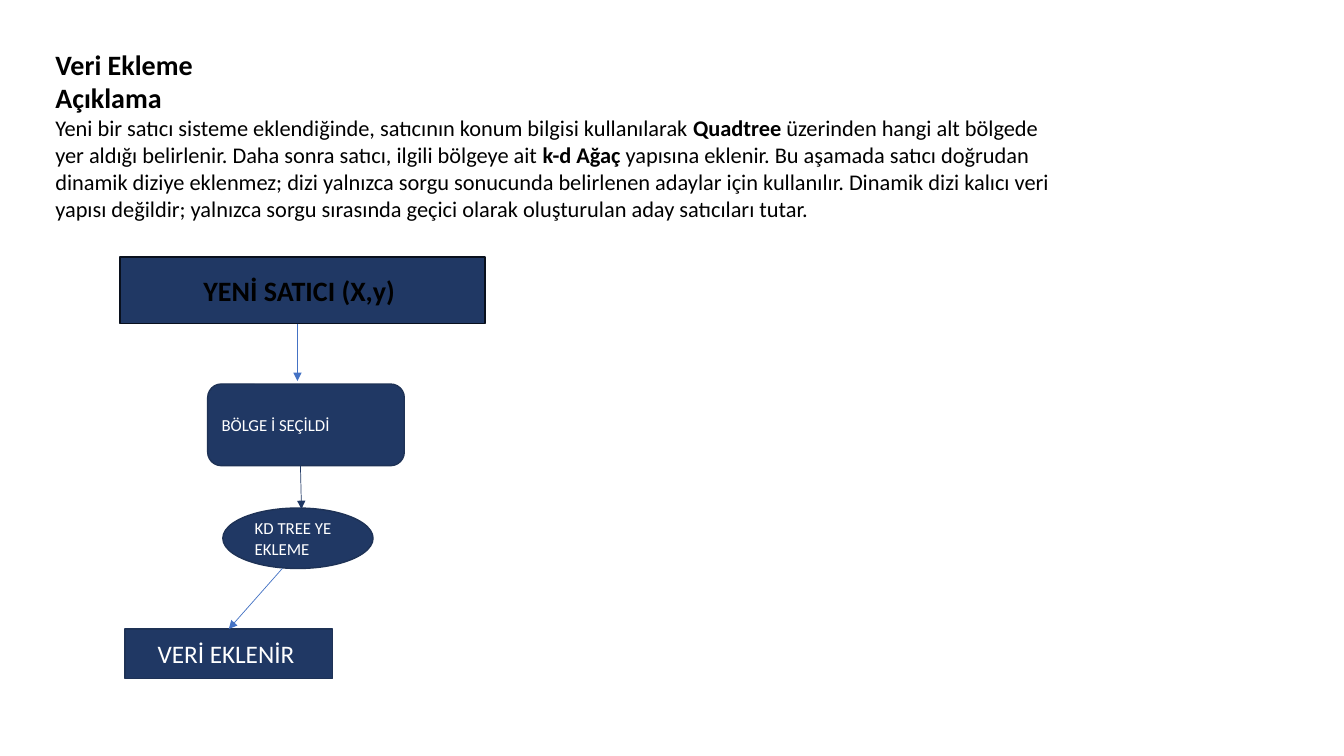
from lxml import etree
from pptx import Presentation
from pptx import util as u
from pptx.dml.color import RGBColor
from pptx.enum import shapes, text
from pptx.oxml.ns import qn

BLACK = RGBColor(0x00, 0x00, 0x00)
WHITE = RGBColor(0xFF, 0xFF, 0xFF)
NAVY = RGBColor(0x20, 0x38, 0x64)
EDGE = RGBColor(0x1E, 0x32, 0x56)
INK = RGBColor(0x09, 0x10, 0x1D)
BLUE = RGBColor(0x44, 0x72, 0xC4)

KIND = shapes.MSO_SHAPE
LEFT, MID = text.PP_ALIGN.LEFT, text.PP_ALIGN.CENTER


def write(para, words, size=12, color=BLACK, bold=False, align=LEFT):
    para.alignment = align
    run = para.add_run()
    run.text = words
    font = run.font
    font.name, font.size, font.bold = "Calibri", u.Pt(size), bold
    font.color.rgb = color


class Board:
    """A slide laid out on a grid of ten columns and ten rows to the inch."""

    def __init__(self, deck):
        self.slide = deck.slides.add_slide(deck.slide_layouts[6])
        self.font = "Calibri"

    def grid(self, *cells):
        return [u.Inches(cell / 10) for cell in cells]

    def node(self, kind, cells, words, edge=EDGE, **style):
        box = self.slide.shapes.add_shape(kind, *self.grid(*cells))
        box.shadow.inherit = False
        box.fill.solid()
        box.fill.fore_color.rgb = NAVY
        box.line.color.rgb = edge
        box.line.width = u.Pt(1)
        frame = box.text_frame
        frame.word_wrap = True
        frame.vertical_anchor = text.MSO_ANCHOR.MIDDLE
        write(frame.paragraphs[0], words, **style)

    def arrow(self, cells, color=BLUE):
        kind = shapes.MSO_CONNECTOR.STRAIGHT
        link = self.slide.shapes.add_connector(kind, *self.grid(*cells))
        link.line.color.rgb = color
        link.line.width = u.Pt(0.5)
        etree.SubElement(link.line._get_or_add_ln(), qn("a:tailEnd"), type="triangle")
        etree.SubElement(link._element.spPr, qn("a:effectLst"))

    def prose(self, cells, paras):
        """Each paragraph is a size and a list of (words, bold) pairs."""
        frame = self.slide.shapes.add_textbox(*self.grid(*cells)).text_frame
        frame.word_wrap = True
        for i, (size, runs) in enumerate(paras):
            para = frame.add_paragraph() if i else frame.paragraphs[0]
            for words, bold in runs:
                write(para, words, size=size, bold=bold)


def main():
    deck = Presentation()
    deck.slide_width, deck.slide_height = u.Inches(13.33), u.Inches(7.5)
    board = Board(deck)

    board.prose((4.5, 4.2, 100.8, 18.6), [
        (20, [("Veri Ekleme", True)]),
        (20, [("Açıklama", True)]),
        (16, [
            ("Yeni bir satıcı sisteme eklendiğinde, satıcının konum bilgisi "
             "kullanılarak ", False),
            ("Quadtree", True),
            (" üzerinden hangi alt bölgede yer aldığı belirlenir. Daha sonra "
             "satıcı, ilgili bölgeye ait ", False),
            ("k-d Ağaç", True),
            (" yapısına eklenir. Bu aşamada satıcı doğrudan dinamik diziye "
             "eklenmez; dizi yalnızca sorgu sonucunda belirlenen adaylar için "
             "kullanılır. Dinamik dizi kalıcı veri yapısı değildir; yalnızca "
             "sorgu sırasında geçici olarak oluşturulan aday satıcıları tutar.",
             False),
        ]),
    ])

    board.node(KIND.RECTANGLE, (11.9, 25.5, 36.2, 6.6), "YENİ SATICI (X,y) ",
               edge=INK, size=20, bold=True, align=MID)
    board.node(KIND.ROUNDED_RECTANGLE, (20.6, 38.1, 19.5, 8.1),
               "BÖLGE İ SEÇİLDİ", color=WHITE)
    board.node(KIND.OVAL, (22.1, 50.4, 14.9, 6), "KD TREE YE EKLEME", color=WHITE)
    board.node(KIND.RECTANGLE, (12.4, 62.4, 20.6, 4.9), "VERİ EKLENİR ",
               size=18, color=WHITE, align=MID)

    board.arrow((29.5, 32.1, 29.5, 37.8))
    board.arrow((29.8, 46.2, 29.9, 50.5), color=NAVY)
    board.arrow((28, 56.4, 22.7, 62.4))

    deck.save("out.pptx")


if __name__ == "__main__":
    main()
